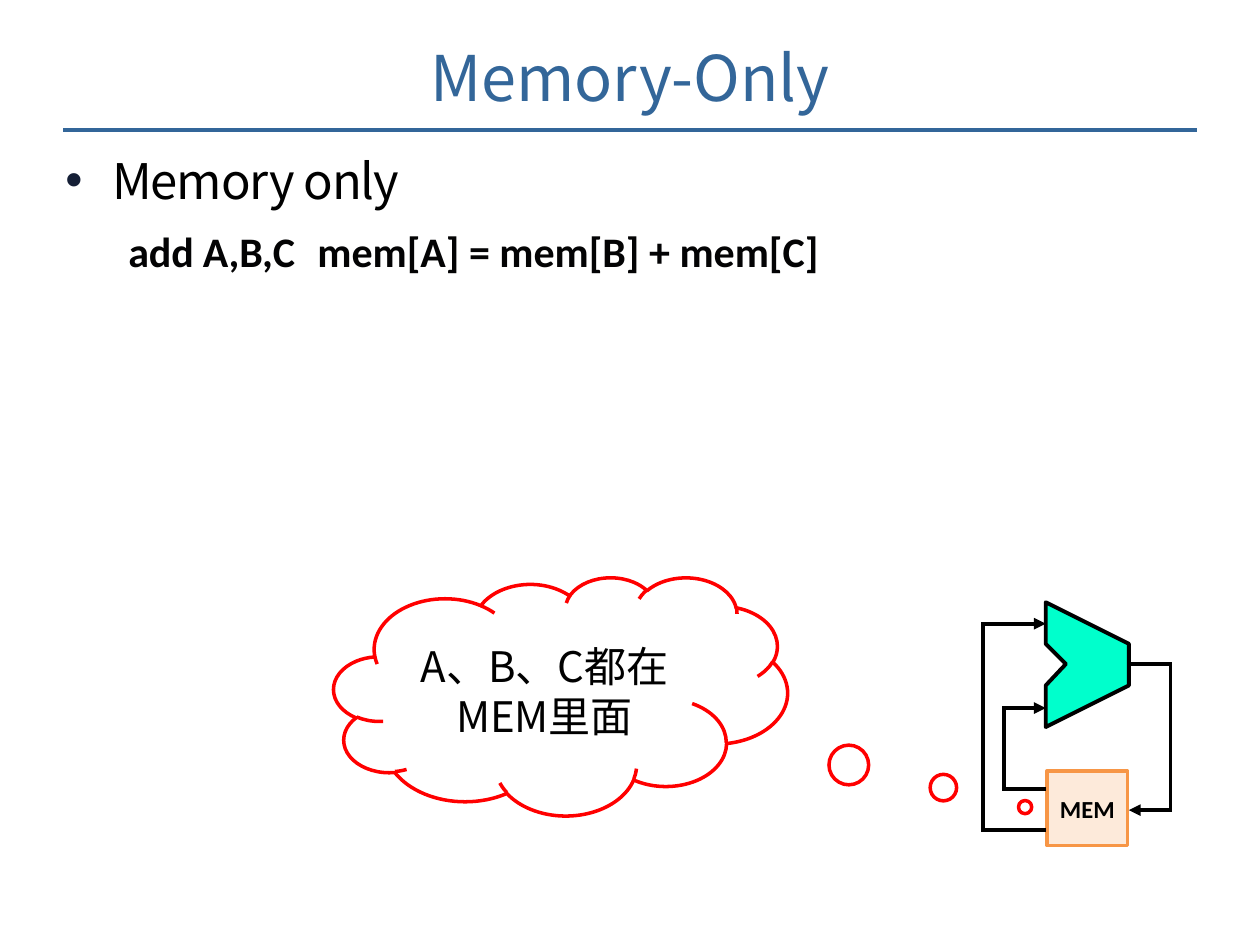
import pptx
import pptx.util
import pptx.dml.color
import pptx.enum.shapes
import pptx.enum.text
import pptx.oxml
import pptx.oxml.ns

Inches = pptx.util.Inches
Pt = pptx.util.Pt
RGBColor = pptx.dml.color.RGBColor
MSO_SHAPE = pptx.enum.shapes.MSO_SHAPE
ALIGN = pptx.enum.text.PP_ALIGN

HEADING_BLUE = RGBColor(0x33, 0x66, 0x99)
BLACK = RGBColor(0, 0, 0)
CODE_BLACK = RGBColor(0x03, 0x03, 0x04)
ALU_GREEN = RGBColor(0, 0xFF, 0xCC)
MEM_FILL = RGBColor(0xFD, 0xEA, 0xDA)
MEM_EDGE = RGBColor(0xF7, 0x96, 0x46)
RED = RGBColor(0xFF, 0, 0)
BULLET_COLOR = "151F36"
CJK_FONT = "Noto Sans CJK SC"
LATIN_FONT = "Calibri"


def add_xml(parent, tag, **attributes):
    child = pptx.oxml.parse_xml(f"<a:{tag} {pptx.oxml.ns.nsdecls('a')}/>")
    for key, value in attributes.items():
        child.set(key, str(value))
    parent.append(child)
    return child


def write_text(paragraph, text, size, font=CJK_FONT, color=BLACK, bold=False,
               spacing=0, align=None):
    """Add a formatted run; spacing is the letter spacing in points."""
    if align is not None:
        paragraph.alignment = align
    run = paragraph.add_run()
    run.text = text
    run.font.size = Pt(size)
    run.font.bold = bold
    run.font.color.rgb = color
    run.font.name = font
    properties = run.font._element
    add_xml(properties, "ea", typeface=font)
    if spacing:
        properties.set("spc", str(round(spacing * 100)))


def set_frame(shape, margin=None):
    frame = shape.text_frame
    frame.word_wrap = True
    frame.vertical_anchor = pptx.enum.text.MSO_ANCHOR.MIDDLE
    if margin is not None:
        frame.margin_left = frame.margin_right = margin
        frame.margin_top = frame.margin_bottom = margin
    return frame


def set_indent(paragraph, left, first=0.0):
    properties = paragraph._p.get_or_add_pPr()
    properties.set("marL", str(Inches(left)))
    properties.set("indent", str(Inches(first)))
    return properties


def style(shape, line, width, fill=None):
    shape.shadow.inherit = False
    if fill is None:
        shape.fill.background()
    else:
        shape.fill.solid()
        shape.fill.fore_color.rgb = fill
    shape.line.color.rgb = line
    shape.line.width = Pt(width)


def add_outline(slide, points, closed, fill=None):
    corners = [(Inches(x), Inches(y)) for x, y in points]
    builder = slide.shapes.build_freeform(*corners[0])
    builder.add_line_segments(corners[1:], close=closed)
    outline = builder.convert_to_shape()
    style(outline, BLACK, 2.25, fill)
    return outline


def add_wire(slide, points):
    wire = add_outline(slide, points, closed=False)
    line = wire.line._get_or_add_ln()
    add_xml(line, "miter", lim=800000)
    add_xml(line, "tailEnd", type="triangle")


def add_heading(slide):
    title = slide.shapes.add_textbox(Inches(0), Inches(0.23), Inches(10), Inches(0.75))
    write_text(set_frame(title).paragraphs[0], "Memory-Only", 36,
               color=HEADING_BLUE, align=ALIGN.CENTER)
    rule = slide.shapes.add_connector(
        pptx.enum.shapes.MSO_CONNECTOR.STRAIGHT,
        Inches(0.5), Inches(1.03), Inches(9.5), Inches(1.03))
    rule.line.color.rgb = HEADING_BLUE
    rule.line.width = Pt(2)
    add_xml(rule._element.spPr, "effectLst")


def add_body(slide):
    body = slide.shapes.add_textbox(Inches(0.51), Inches(1.16), Inches(8.86), Inches(1.04))
    frame = set_frame(body, margin=0)
    frame.vertical_anchor = pptx.enum.text.MSO_ANCHOR.TOP

    topic = frame.paragraphs[0]
    properties = set_indent(topic, 0.38, -0.37)
    add_xml(add_xml(properties, "buClr"), "srgbClr", val=BULLET_COLOR)
    add_xml(properties, "buFont", typeface="Arial")
    add_xml(properties, "buChar", char="•")
    topic.line_spacing = Pt(36)
    topic.space_after = Pt(6)
    write_text(topic, "Memory only", 28, spacing=-0.6)

    instruction = frame.add_paragraph()
    properties = set_indent(instruction, 0.51)
    add_xml(add_xml(properties, "tabLst"), "tab", pos=Inches(3.31), algn="l")
    instruction.space_before = Pt(3.5)
    code = dict(size=24, font=LATIN_FONT, color=CODE_BLACK, bold=True)
    write_text(instruction, "add A,B,C\t", spacing=-0.1, **code)
    write_text(instruction, "mem[A] = mem[B] + mem[C]", **code)


def add_datapath(slide):
    left, right = 8.3, 8.96
    add_outline(slide, [(left, 4.78), (right, 5.11), (right, 5.44), (left, 5.77),
                        (left, 5.44), (8.46, 5.27), (left, 5.11)],
                closed=True, fill=ALU_GREEN)

    memory = slide.shapes.add_shape(MSO_SHAPE.RECTANGLE, Inches(8.31), Inches(6.12),
                                    Inches(0.64), Inches(0.59))
    style(memory, MEM_EDGE, 2, MEM_FILL)
    write_text(set_frame(memory, margin=0).paragraphs[0], "MEM", 14,
               font=LATIN_FONT, bold=True, align=ALIGN.CENTER)

    add_wire(slide, [(right, 5.27), (9.29, 5.27), (9.29, 6.43), (right, 6.43)])
    for bend, start, end in ((7.97, 6.26, 5.62), (7.8, 6.59, 4.95)):
        add_wire(slide, [(left, start), (bend, start), (bend, end), (left, end)])


def add_thought(slide):
    cloud = slide.shapes.add_shape(MSO_SHAPE.CLOUD_CALLOUT, Inches(2.65), Inches(4.58),
                                   Inches(3.6), Inches(1.89))
    cloud.adjustments[0] = 1.024
    cloud.adjustments[1] = 0.466
    style(cloud, RED, 2)
    write_text(set_frame(cloud).paragraphs[0], "A、B、C都在MEM里面", 24,
               align=ALIGN.CENTER)


def main():
    deck = pptx.Presentation()
    deck.slide_width = Inches(10)
    deck.slide_height = Inches(7.5)
    slide = deck.slides.add_slide(deck.slide_layouts[6])
    add_heading(slide)
    add_body(slide)
    add_datapath(slide)
    add_thought(slide)
    deck.save("out.pptx")


if __name__ == "__main__":
    main()
